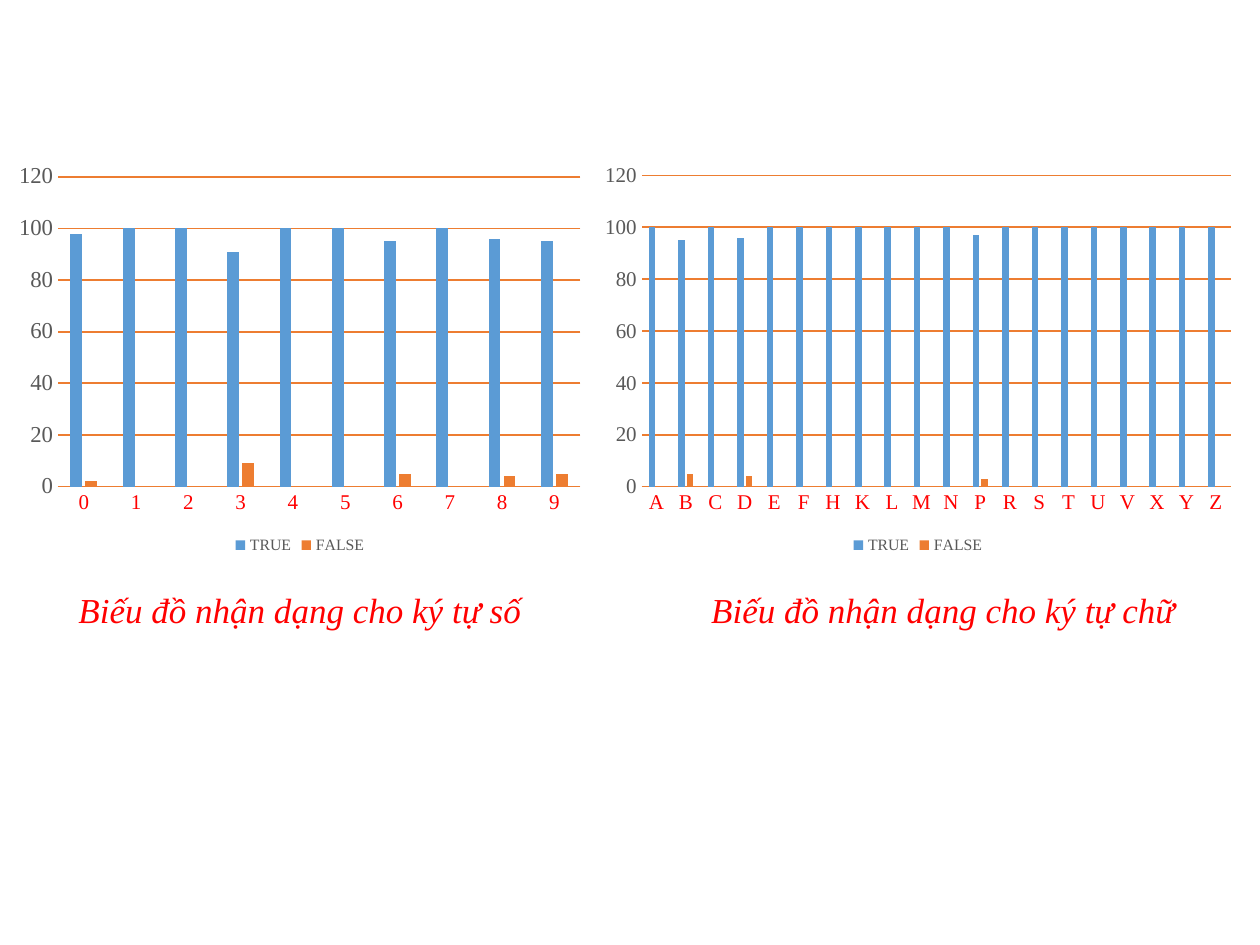
from pptx import Presentation
from pptx.chart.data import CategoryChartData
from pptx.dml.color import RGBColor
from pptx.enum.chart import XL_CHART_TYPE, XL_LEGEND_POSITION, XL_TICK_MARK
from pptx.enum.text import MSO_AUTO_SIZE, PP_ALIGN
from pptx.util import Inches, Pt

HUES = {"true": "5B9BD5", "false": "ED7D31", "grid": "ED7D31",
        "red": "FF0000", "gray": "595959"}
FACE = "Times New Roman"


def hue(name):
    """Return the named colour."""
    return RGBColor.from_string(HUES[name])


def style(font, size, color, italic=False):
    """Set face, size and colour of a font."""
    font.name = FACE
    font.size = Pt(size)
    font.color.rgb = hue(color)
    font.italic = italic


def rule(line):
    """Draw a line in the grid colour."""
    line.color.rgb = hue("grid")
    line.width = Pt(1)


def add_text(slide, text, left, top, width, height, **form):
    """Add one centred line of text."""
    box = slide.shapes.add_textbox(*map(Inches, (left, top, width, height)))
    frame = box.text_frame
    frame.word_wrap = False
    frame.auto_size = MSO_AUTO_SIZE.SHAPE_TO_FIT_TEXT
    para = frame.paragraphs[0]
    para.alignment = PP_ALIGN.CENTER
    para.space_after = Pt(10)
    run = para.add_run()
    run.text = text
    style(run.font, **form)


def add_bars(slide, cats, misses, left, width, size):
    """Add a column chart of hits and misses out of 100."""
    data = CategoryChartData()
    data.categories = list(cats)
    wrong = [misses.get(cat, 0) for cat in cats]
    data.add_series("TRUE", [100 - miss for miss in wrong])
    data.add_series("FALSE", wrong)
    chart = slide.shapes.add_chart(
        XL_CHART_TYPE.COLUMN_CLUSTERED, Inches(left), Inches(1.24),
        Inches(width), Inches(3.2), data).chart
    chart.has_title = False
    chart.font.name = "Calibri"
    chart.font.size = Pt(10)

    plot = chart.plots[0]
    plot.gap_width = 219
    plot.overlap = -27
    plot.vary_by_categories = False
    for series, color in zip(plot.series, ("true", "false")):
        series.format.fill.solid()
        series.format.fill.fore_color.rgb = hue(color)
        series.invert_if_negative = False

    for axis, points, color in ((chart.category_axis, 12, "red"),
                                (chart.value_axis, size, "gray")):
        axis.major_tick_mark = axis.minor_tick_mark = XL_TICK_MARK.NONE
        style(axis.tick_labels.font, points, color)
    rule(chart.category_axis.format.line)
    scale = chart.value_axis
    scale.minimum_scale, scale.maximum_scale, scale.major_unit = 0, 120, 20
    scale.format.line.fill.background()
    rule(scale.major_gridlines.format.line)

    chart.has_legend = True
    chart.legend.position = XL_LEGEND_POSITION.BOTTOM
    chart.legend.include_in_layout = False
    style(chart.legend.font, 9, "gray")


def main():
    """Build the slide with both charts and their captions."""
    deck = Presentation()
    deck.slide_width, deck.slide_height = Inches(10), Inches(7.5)
    slide = deck.slides.add_slide(deck.slide_layouts[6])
    add_bars(slide, "0123456789", {"0": 2, "3": 9, "6": 5, "8": 4, "9": 5},
             0.06, 4.64, 13)
    add_bars(slide, "ABCDEFHKLMNPRSTUVXYZ", {"B": 5, "D": 4, "P": 3},
             4.7, 5.17, 12)
    for kind, left, width in (("số", 0.51, 3.74), ("chữ", 5.53, 3.91)):
        add_text(slide, f"Biếu đồ nhận dạng cho ký tự {kind}", left, 4.62,
                 width, 0.44, size=20, color="red", italic=True)
    deck.save("out.pptx")


if __name__ == "__main__":
    main()
